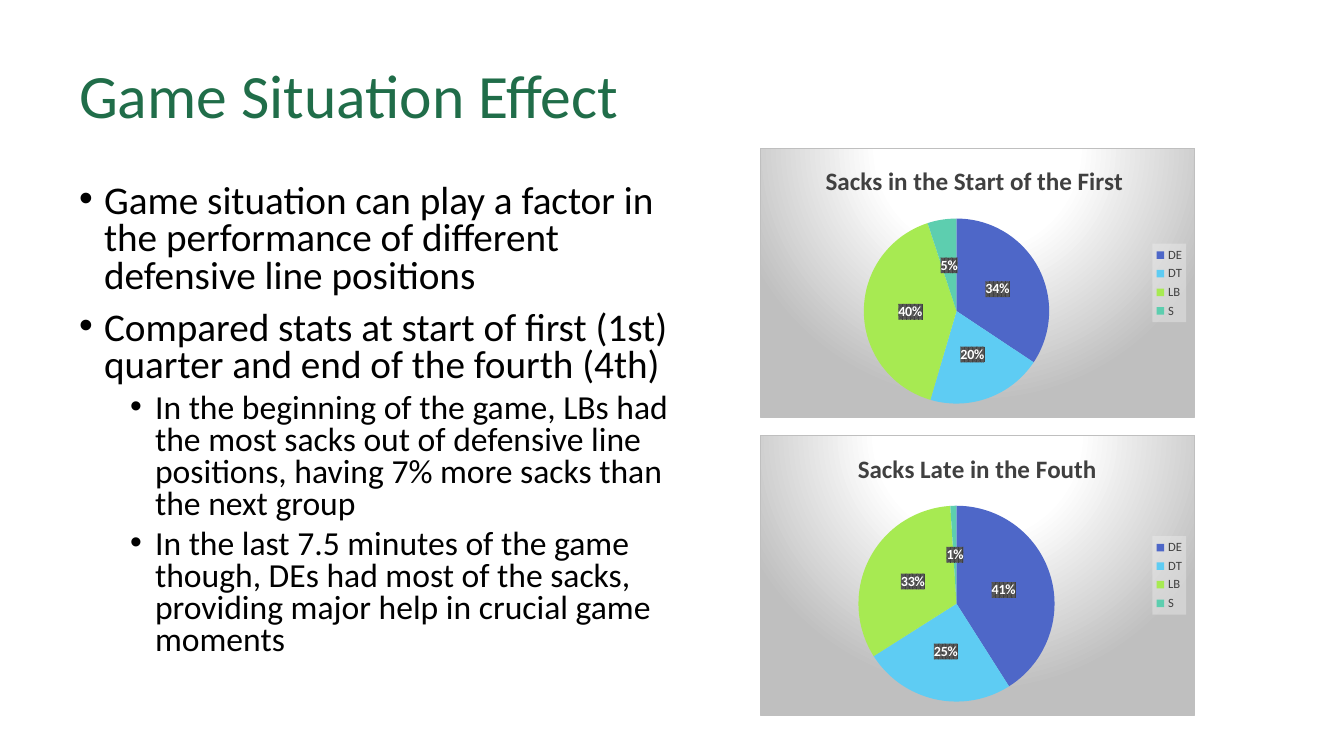
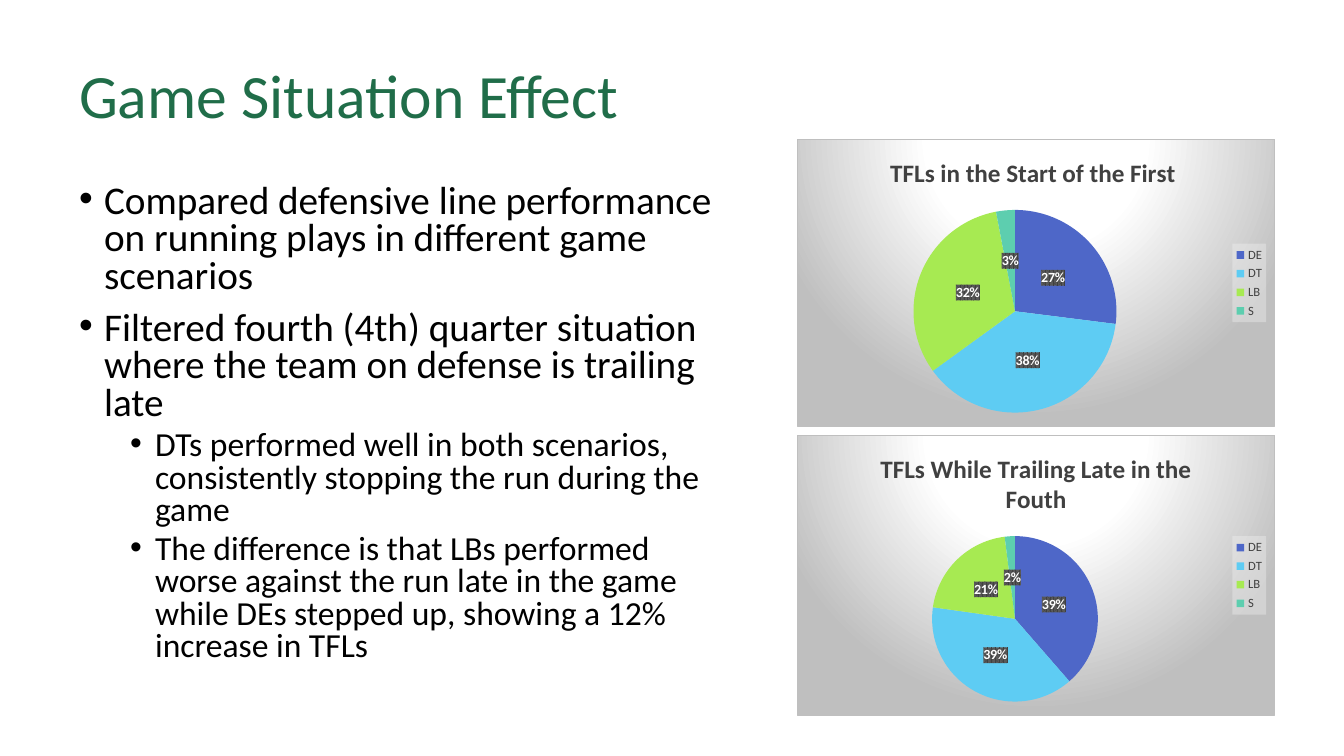
"""Build two slides on how the game situation affects defensive line positions."""
from lxml.etree import SubElement
from pptx import Presentation
from pptx.chart.data import CategoryChartData
from pptx.dml.color import RGBColor
from pptx.enum.chart import XL_CHART_TYPE, XL_LABEL_POSITION, XL_LEGEND_POSITION
from pptx.enum.text import MSO_ANCHOR, MSO_AUTO_SIZE, PP_ALIGN
from pptx.oxml import parse_xml
from pptx.oxml.ns import nsdecls, qn
from pptx.util import Pt

PX = 12192000 / 1344
FONT = "Calibri"
COLORS = {
    "title": "206D49",
    "text": "000000",
    "chart_text": "404040",
    "white": "FFFFFF",
    "edge": "BFBFBF",
    "legend": "F2F2F2",
    "label_back": "595959",
}
SLICES = {"DE": "4E67C8", "DT": "5ECCF3", "LB": "A7EA52", "S": "5DCEAF"}
LEVELS = [
    {"size": 28, "margin": 25, "before": 10},
    {"size": 24, "margin": 76, "before": 5},
]
HANGING = 25

PANEL_FILL = f"""<a:gradFill><a:gsLst>
<a:gs pos="0"><a:srgbClr val="{COLORS['white']}"/></a:gs>
<a:gs pos="39000"><a:srgbClr val="{COLORS['white']}"/></a:gs>
<a:gs pos="100000"><a:srgbClr val="{COLORS['edge']}"/></a:gs></a:gsLst>
<a:path path="circle"><a:fillToRect l="50000" t="-80000" r="50000" b="180000"/></a:path>
</a:gradFill><a:ln w="9525"><a:solidFill><a:srgbClr val="{COLORS['edge']}"/></a:solidFill></a:ln>"""
LEGEND_FILL = f"""<a:solidFill><a:srgbClr val="{COLORS['legend']}"><a:alpha val="39000"/>
</a:srgbClr></a:solidFill>"""
LABEL_FILL = f"""<a:pattFill prst="pct75"><a:fgClr><a:srgbClr val="{COLORS['chart_text']}"/></a:fgClr>
<a:bgClr><a:srgbClr val="{COLORS['label_back']}"/></a:bgClr></a:pattFill>"""
CHART_FILLS = {
    "c:txPr": PANEL_FILL,
    ".//c:legend/c:txPr": LEGEND_FILL,
    ".//c:dLbls/c:txPr": LABEL_FILL,
}

SLIDES = [
    {
        "title": "Game Situation Effect",
        "points": [
            (0, "Game situation can play a factor in the performance of different defensive line positions"),
            (0, "Compared stats at start of first (1st) quarter and end of the fourth (4th)"),
            (1, "In the beginning of the game, LBs had the most sacks out of defensive line positions, "
                "having 7% more sacks than the next group"),
            (1, "In the last 7.5 minutes of the game though, DEs had most of the sacks, "
                "providing major help in crucial game moments"),
        ],
        "charts": [
            ("Sacks in the Start of the First ", (34, 20, 40, 5), (760, 148, 435, 270)),
            ("Sacks Late in the Fouth", (41, 25, 33, 1), (760, 435, 435, 281)),
        ],
    },
    {
        "title": "Game Situation Effect",
        "points": [
            (0, "Compared defensive line performance on running plays in different game scenarios"),
            (0, "Filtered fourth (4th) quarter situation where the team on defense is trailing late"),
            (1, "DTs performed well in both scenarios, consistently stopping the run during the game"),
            (1, "The difference is that LBs performed worse against the run late in the game "
                "while DEs stepped up, showing a 12% increase in TFLs"),
        ],
        "charts": [
            ("TFLs While Trailing Late in the Fouth", (39, 39, 21, 2), (797, 435, 478, 281)),
            ("TFLs in the Start of the First ", (27, 38, 32, 3), (797, 139, 478, 288)),
        ],
    },
]


def set_font(font, size, color, bold=False):
    font.name = FONT
    font.size = Pt(size)
    font.bold = bold
    font.color.rgb = RGBColor.from_string(COLORS[color])


def add_pie(page, name, values, place):
    data = CategoryChartData()
    data.categories = list(SLICES)
    data.add_series(name, values)
    frame = page.shapes.add_chart(XL_CHART_TYPE.PIE, *(round(n * PX) for n in place), data)
    chart = frame.chart
    set_font(chart.font, 10, "text")

    chart.has_title = True
    span = chart.chart_title.text_frame.paragraphs[0].add_run()
    span.text = name
    set_font(span.font, 18, "chart_text", True)
    chart.chart_title.include_in_layout = False

    chart.has_legend = True
    chart.legend.position = XL_LEGEND_POSITION.RIGHT
    chart.legend.include_in_layout = False
    set_font(chart.legend.font, 9, "chart_text")

    plot = chart.plots[0]
    plot.vary_by_categories = True
    series = plot.series[0]
    for index, color in enumerate(SLICES.values()):
        fill = series.points[index].format.fill
        fill.solid()
        fill.fore_color.rgb = RGBColor.from_string(color)
    labels = series.data_labels
    labels.show_percentage = True
    labels.show_value = False
    labels.number_format = "0%"
    labels.number_format_is_linked = False
    labels.position = XL_LABEL_POSITION.CENTER
    set_font(labels.font, 10, "white", True)

    for target, fill in CHART_FILLS.items():
        text_properties = chart.element.xpath(target)[0]
        text_properties.addprevious(parse_xml(f"<c:spPr {nsdecls('c', 'a')}>{fill}</c:spPr>"))


deck = Presentation()
deck.slide_width = round(1344 * PX)
deck.slide_height = round(756 * PX)
layout = deck.slide_layouts[1]
for box, place in zip(layout.placeholders, [(69, 40, 1211, 117), (69, 179, 653, 501)]):
    box.left, box.top, box.width, box.height = (round(n * PX) for n in place)

for content in SLIDES:
    page = deck.slides.add_slide(layout)
    heading = page.shapes.title.text_frame
    heading.vertical_anchor = MSO_ANCHOR.MIDDLE
    heading.auto_size = MSO_AUTO_SIZE.NONE
    para = heading.paragraphs[0]
    para.alignment = PP_ALIGN.LEFT
    para.line_spacing = 0.9
    span = para.add_run()
    span.text = content["title"]
    set_font(span.font, 44, "title")

    body = page.placeholders[1].text_frame
    body.auto_size = MSO_AUTO_SIZE.NONE
    for index, (level, text) in enumerate(content["points"]):
        style = LEVELS[level]
        para = body.add_paragraph() if index else body.paragraphs[0]
        para.level = level
        para.line_spacing = 0.8
        para.space_before = Pt(style["before"] if index else 0)
        properties = para._p.get_or_add_pPr()
        properties.set("marL", str(round(style["margin"] * PX)))
        properties.set("indent", str(round(-HANGING * PX)))
        SubElement(properties, qn("a:buFont"), typeface="Arial")
        SubElement(properties, qn("a:buChar"), char="•")
        span = para.add_run()
        span.text = text
        set_font(span.font, style["size"], "text")

    for name, values, place in content["charts"]:
        add_pie(page, name, values, place)

deck.save("out.pptx")
